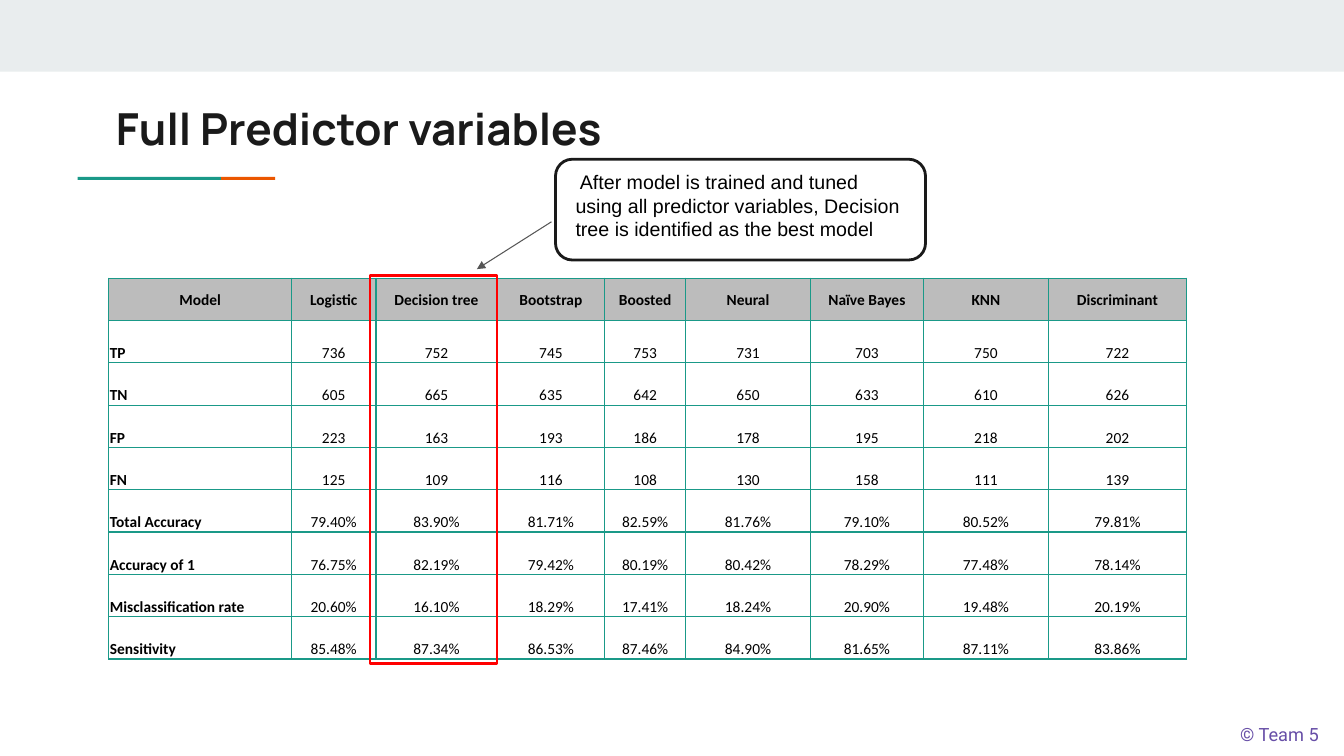
from dataclasses import dataclass

from lxml.etree import SubElement
from pptx import Presentation
from pptx.dml.color import RGBColor
from pptx.enum.shapes import MSO_CONNECTOR as Connector, MSO_SHAPE as Shape
from pptx.enum.text import MSO_ANCHOR as Anchor, PP_ALIGN as Align
from pptx.oxml.ns import qn
from pptx.util import Inches, Pt

WHITE = RGBColor(0xFF, 0xFF, 0xFF)
BLACK = RGBColor(0x00, 0x00, 0x00)
INK = RGBColor(0x1A, 0x1A, 0x1A)
TEAL = RGBColor(0x1A, 0x99, 0x88)
ORANGE = RGBColor(0xEB, 0x56, 0x00)
PALE = RGBColor(0xE9, 0xED, 0xEE)
HEADER_GREY = RGBColor(0xBC, 0xBC, 0xBC)
ARROW_GREY = RGBColor(0x56, 0x56, 0x56)
RED = RGBColor(0xFF, 0x00, 0x00)
PURPLE = RGBColor(0x67, 0x4E, 0xA7)


@dataclass
class Box:
    left: float
    top: float
    width: float
    height: float

    def lengths(self) -> tuple:
        return tuple(Inches(v) for v in (self.left, self.top, self.width, self.height))


@dataclass
class Style:
    font: str
    size: float
    color: RGBColor
    bold: bool = False


@dataclass
class Bar:
    box: Box
    color: RGBColor


@dataclass
class Frame:
    kind: Shape
    box: Box
    color: RGBColor


@dataclass
class Label:
    text: str
    box: Box
    style: Style
    inset_x: float
    inset_y: float
    align: Align = Align.LEFT


BARS = [
    Bar(Box(0, 0, 13.33, 0.71), PALE),
    Bar(Box(2.19, 1.755, 0.54, 0.03), ORANGE),
    Bar(Box(0.77, 1.755, 1.42, 0.03), TEAL),
]
FRAMES = [
    Frame(Shape.FLOWCHART_PROCESS, Box(3.67, 2.73, 1.26, 3.85), RED),
    Frame(Shape.ROUNDED_RECTANGLE, Box(5.51, 1.58, 3.67, 1), INK),
]
LABELS = [
    Label("© Team 5", Box(11.89, 7.08, 1.6, 0.42), Style("Roboto", 13, PURPLE),
          0.1, 0.1, Align.CENTER),
    Label("Full Predictor variables", Box(1.02, 0.88, 11.21, 0.78),
          Style("Manrope", 31.5, INK, True), 0.13, 0.13),
    Label(" After model is trained and tuned using all predictor variables, "
          "Decision tree is identified as the best model",
          Box(5.61, 1.64, 3.46, 0.81), Style("Arial", 14, BLACK), 0.1, 0.05),
]

COLUMN_WIDTHS = [1.81, 0.84, 1.2, 1.07, 0.8, 1.24, 1.12, 1.24, 1.37]
ROW_HEIGHT = 0.42
RESULTS = [
    ["Model", "Logistic", "Decision tree", "Bootstrap", "Boosted", "Neural",
     "Naïve Bayes", "KNN", "Discriminant"],
    ["TP", "736", "752", "745", "753", "731", "703", "750", "722"],
    ["TN", "605", "665", "635", "642", "650", "633", "610", "626"],
    ["FP", "223", "163", "193", "186", "178", "195", "218", "202"],
    ["FN", "125", "109", "116", "108", "130", "158", "111", "139"],
    ["Total Accuracy", "79.40%", "83.90%", "81.71%", "82.59%", "81.76%",
     "79.10%", "80.52%", "79.81%"],
    ["Accuracy of 1", "76.75%", "82.19%", "79.42%", "80.19%", "80.42%",
     "78.29%", "77.48%", "78.14%"],
    ["Misclassification rate", "20.60%", "16.10%", "18.29%", "17.41%", "18.24%",
     "20.90%", "19.48%", "20.19%"],
    ["Sensitivity", "85.48%", "87.34%", "86.53%", "87.46%", "84.90%",
     "81.65%", "87.11%", "83.86%"],
]


def add_span(para, text: str, style: Style) -> None:
    span = para.add_run()
    span.text = text
    span.font.name = style.font
    span.font.size = Pt(style.size)
    span.font.bold = style.bold
    span.font.color.rgb = style.color


def add_bar(page, bar: Bar) -> None:
    shape = page.shapes.add_shape(Shape.RECTANGLE, *bar.box.lengths())
    shape.shadow.inherit = False
    shape.fill.solid()
    shape.fill.fore_color.rgb = bar.color
    shape.line.fill.background()


def add_frame(page, frame: Frame) -> None:
    shape = page.shapes.add_shape(frame.kind, *frame.box.lengths())
    shape.shadow.inherit = False
    shape.fill.background()
    shape.line.color.rgb = frame.color
    shape.line.width = Pt(2)


def add_label(page, label: Label) -> None:
    text_frame = page.shapes.add_textbox(*label.box.lengths()).text_frame
    text_frame.word_wrap = True
    text_frame.margin_left = text_frame.margin_right = Inches(label.inset_x)
    text_frame.margin_top = text_frame.margin_bottom = Inches(label.inset_y)
    para = text_frame.paragraphs[0]
    para.alignment = label.align
    add_span(para, label.text, label.style)


def add_borders(cell, color: RGBColor) -> None:
    properties = cell._tc.get_or_add_tcPr()
    for side in ("a:lnL", "a:lnR", "a:lnT", "a:lnB"):
        line = SubElement(properties, qn(side), w=str(Pt(1)))
        fill = SubElement(line, qn("a:solidFill"))
        SubElement(fill, qn("a:srgbClr"), val=str(color))


def fill_cell(cell, text: str, is_header: bool, is_name: bool) -> None:
    cell.margin_left = cell.margin_right = cell.margin_top = Inches(0.01)
    cell.margin_bottom = 0
    cell.vertical_anchor = Anchor.MIDDLE if is_header else Anchor.BOTTOM
    add_borders(cell, TEAL)
    if is_header:
        cell.fill.solid()
        cell.fill.fore_color.rgb = HEADER_GREY
    else:
        cell.fill.background()
    para = cell.text_frame.paragraphs[0]
    para.alignment = Align.LEFT if is_name and not is_header else Align.CENTER
    add_span(para, text, Style("Calibri", 11, BLACK, is_header or is_name))


def add_results(page) -> None:
    box = Box(1.08, 2.76, sum(COLUMN_WIDTHS), ROW_HEIGHT * len(RESULTS))
    table = page.shapes.add_table(len(RESULTS), len(COLUMN_WIDTHS), *box.lengths()).table
    for column, width in zip(table.columns, COLUMN_WIDTHS):
        column.width = Inches(width)
    for r, values in enumerate(RESULTS):
        table.rows[r].height = Inches(ROW_HEIGHT)
        for c, value in enumerate(values):
            fill_cell(table.cell(r, c), value, r == 0, c == 0)


def add_arrow(page) -> None:
    arrow = page.shapes.add_connector(
        Connector.STRAIGHT, Inches(5.47), Inches(2.2), Inches(4.73), Inches(2.67))
    arrow.line.color.rgb = ARROW_GREY
    arrow.line.width = Pt(0.75)
    SubElement(arrow.line._get_or_add_ln(), qn("a:tailEnd"), type="triangle")
    SubElement(arrow._element.spPr, qn("a:effectLst"))


def main() -> None:
    deck = Presentation()
    deck.slide_width, deck.slide_height = Inches(13.33), Inches(7.5)
    page = deck.slides.add_slide(deck.slide_layouts[6])
    page.background.fill.solid()
    page.background.fill.fore_color.rgb = WHITE

    # Header band and title underline
    for bar in BARS:
        add_bar(page, bar)

    # Model comparison, with the best model framed
    add_results(page)
    for frame in FRAMES:
        add_frame(page, frame)
    add_arrow(page)

    # Footer, title and callout wording
    for label in LABELS:
        add_label(page, label)

    deck.save("out.pptx")


if __name__ == "__main__":
    main()
